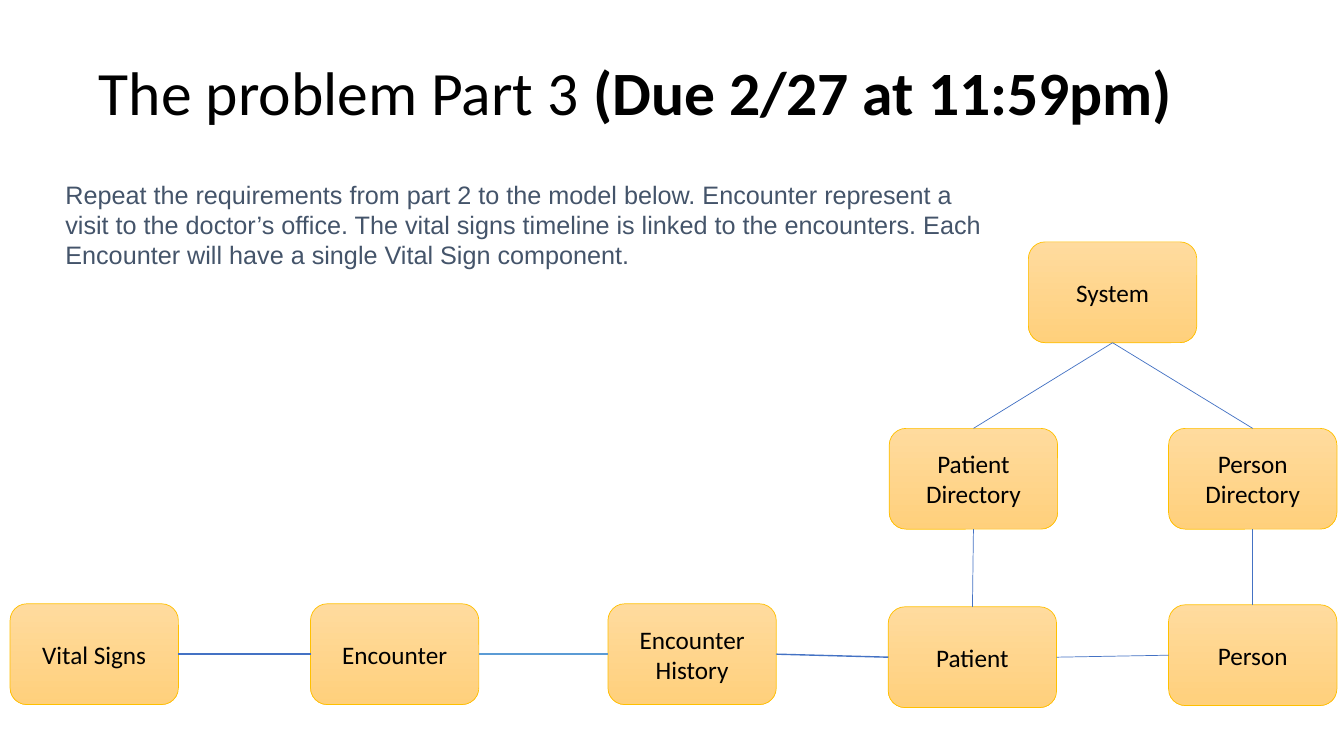
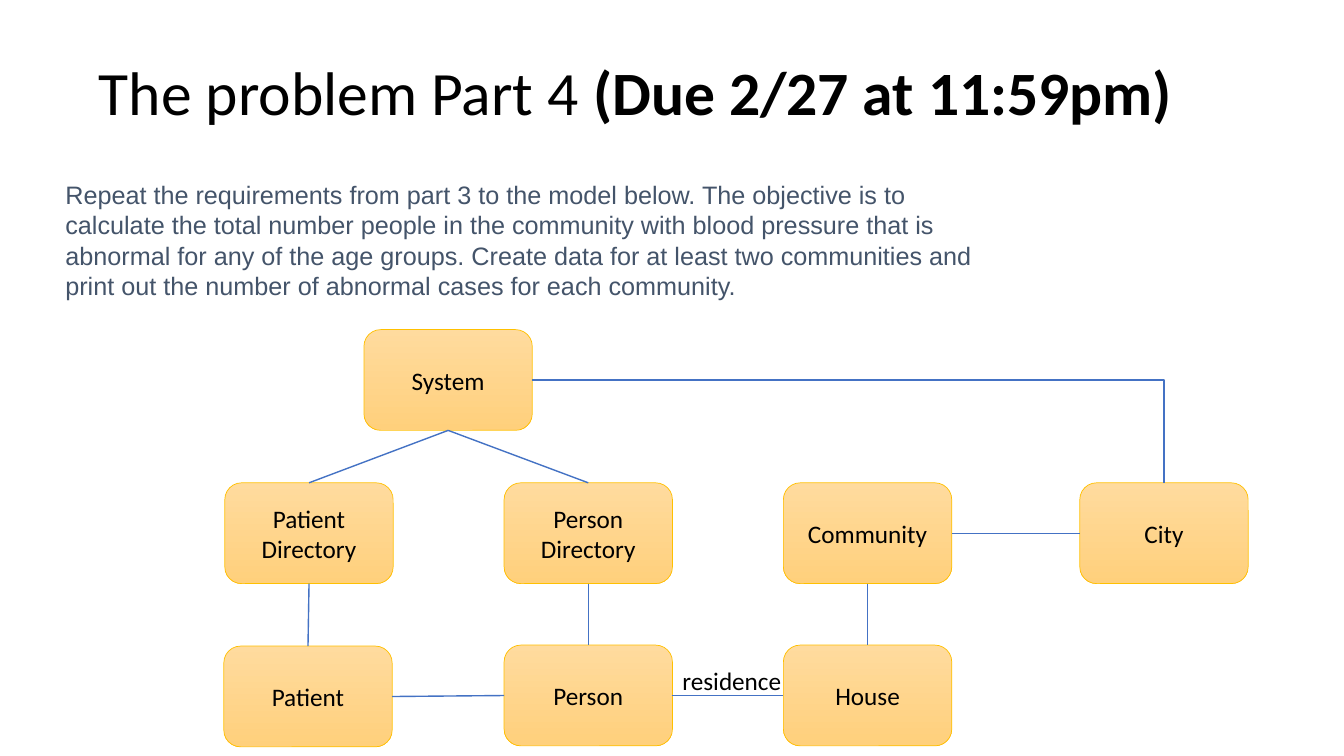
from lxml import etree
from pptx import Presentation
from pptx.dml.color import RGBColor
from pptx.enum.shapes import MSO_CONNECTOR as CONNECTOR, MSO_SHAPE as SHAPE
from pptx.enum.text import MSO_ANCHOR as ANCHOR, MSO_AUTO_SIZE as AUTO_SIZE, PP_ALIGN as ALIGN
from pptx.oxml.ns import qn
from pptx.util import Inches, Pt

# Content: boxes are (label, left, top); links are (from, side, to, side, colour, width)
DUE = "(Due 2/27 at 11:59pm)"
SLIDES = [
    {
        "title": "The problem Part 3 ",
        "body": "Repeat the requirements from part 2 to the model below. Encounter represent "
                "a visit to the doctor’s office. The vital signs timeline is linked to the "
                "encounters. Each Encounter will have a single Vital Sign component.",
        "body_height": 1.74,
        "boxes": [
            ("Vital Signs", 0.1, 5.99), ("Encounter", 3.08, 5.99),
            ("Encounter History", 6.03, 5.99), ("Patient", 8.81, 6.02),
            ("Person", 11.59, 6), ("Patient Directory", 8.82, 4.25),
            ("Person Directory", 11.59, 4.25), ("System", 10.2, 2.4),
        ],
        "links": [
            ("Vital Signs", "right", "Encounter", "left", "link", 1),
            ("Encounter History", "left", "Encounter", "right", "light link", 1),
            ("Encounter History", "right", "Patient", "left", "link", 1),
            ("Patient Directory", "bottom", "Patient", "top", "link", 0.5),
            ("Person Directory", "bottom", "Person", "top", "link", 0.5),
            ("Patient", "right", "Person", "left", "link", 0.5),
            ("System", "bottom", "Patient Directory", "top", "link", 0.5),
            ("System", "bottom", "Person Directory", "top", "link", 0.5),
        ],
        "labels": [],
    },
    {
        "title": "The problem Part 4 ",
        "body": "Repeat the requirements from part 3 to the model below. The objective is to "
                "calculate the total number people in the community with blood pressure that "
                "is abnormal for any of the age groups. Create data for at least two "
                "communities and print out the number of abnormal cases for each community.",
        "body_height": 1.68,
        "boxes": [
            ("Patient", 2.22, 6.41), ("Patient Directory", 2.23, 4.79),
            ("Person", 5, 6.4), ("Person Directory", 5, 4.79),
            ("System", 3.61, 3.27), ("House", 7.77, 6.4),
            ("Community", 7.77, 4.79), ("City", 10.71, 4.79),
        ],
        "links": [
            ("Patient Directory", "bottom", "Patient", "top", "link", 1),
            ("Person Directory", "bottom", "Person", "top", "link", 1),
            ("Patient", "right", "Person", "left", "link", 1),
            ("System", "bottom", "Patient Directory", "top", "link", 1),
            ("System", "bottom", "Person Directory", "top", "link", 1),
            ("Community", "bottom", "House", "top", "link", 1),
            ("Person", "right", "House", "left", "link", 0.5),
            ("City", "left", "Community", "right", "link", 1),
            ("System", "right", "City", "top", "link", 1),
        ],
        "labels": [("residence", 6.67, 6.55, 1.19, 0.4)],
    },
]

# Shared style
COLORS = {
    "text": "000000", "body": "44546A", "box top": "FFDB9E", "box bottom": "FFD07C",
    "box line": "FFC000", "link": "4472C4", "light link": "5B9BD5",
}
BOX_WIDTH, BOX_HEIGHT = 1.67, 1
SITES = {"top": 0, "left": 1, "bottom": 2, "right": 3}
TITLE_FONT = {"name": "Calibri", "size": Pt(44), "color": "text"}
BODY_FONT = {"name": "Arial", "size": Pt(18), "color": "body"}
LABEL_FONT = {"name": "Calibri", "size": Pt(18), "color": "text"}
TITLE_FRAME = {"word_wrap": True, "auto_size": AUTO_SIZE.NONE, "vertical_anchor": ANCHOR.MIDDLE}
BODY_FRAME = {"word_wrap": True, "auto_size": AUTO_SIZE.SHAPE_TO_FIT_TEXT}
BOX_FRAME = {"word_wrap": True, "vertical_anchor": ANCHOR.MIDDLE}
LABEL_FRAME = {"word_wrap": False, "auto_size": AUTO_SIZE.SHAPE_TO_FIT_TEXT}
TITLE_PARAGRAPH = {"alignment": ALIGN.LEFT, "line_spacing": 0.9}
BODY_PARAGRAPH = {"alignment": ALIGN.LEFT, "space_before": Pt(3.6)}
BOX_PARAGRAPH = {"alignment": ALIGN.CENTER, "space_before": Pt(3.6)}
LABEL_PARAGRAPH = {"alignment": ALIGN.LEFT}


def color(name):
    return RGBColor.from_string(COLORS[name])


def apply(target, values):
    for name, value in values.items():
        setattr(target, name, value)


def write(shape, runs, font, paragraph_format, frame_format):
    """Fill a shape with one paragraph of (text, bold) runs."""
    apply(shape.text_frame, frame_format)
    paragraph = shape.text_frame.paragraphs[0]
    apply(paragraph, paragraph_format)
    for text, bold in runs:
        run = paragraph.add_run()
        run.text = text
        apply(run.font, {"name": font["name"], "size": font["size"], "bold": bold})
        run.font.color.rgb = color(font["color"])


def add_title(slide, text):
    title = slide.shapes.title
    apply(title, {"left": Inches(0.88), "top": Inches(0.22),
                  "width": Inches(11.5), "height": Inches(1.45)})
    write(title, [(text, False), (DUE, True)], TITLE_FONT, TITLE_PARAGRAPH, TITLE_FRAME)


def add_text(slide, text, place, *formats):
    text_box = slide.shapes.add_textbox(*map(Inches, place))
    write(text_box, [(text, False)], *formats)


def add_box(slide, label, left, top):
    box = slide.shapes.add_shape(
        SHAPE.ROUNDED_RECTANGLE, *map(Inches, (left, top, BOX_WIDTH, BOX_HEIGHT)))
    box.shadow.inherit = False
    box.fill.gradient()
    box.fill.gradient_angle = 270
    for stop, name in zip(box.fill.gradient_stops, ("box top", "box bottom")):
        stop.color.rgb = color(name)
    box.line.color.rgb = color("box line")
    box.line.width = Pt(0.5)
    write(box, [(label, False)], LABEL_FONT, BOX_PARAGRAPH, BOX_FRAME)
    return box


def add_link(slide, start, start_side, end, end_side, color_name, width):
    bent = start_side == "right" and end_side == "top"
    kind = CONNECTOR.ELBOW if bent else CONNECTOR.STRAIGHT
    link = slide.shapes.add_connector(kind, 0, 0, 0, 0)
    link.begin_connect(start, SITES[start_side])
    link.end_connect(end, SITES[end_side])
    link.line.color.rgb = color(color_name)
    link.line.width = Pt(width)
    properties = link._element.spPr
    etree.SubElement(properties, qn("a:effectLst"))
    if bent:  # a single corner
        properties.find(qn("a:prstGeom")).set("prst", "bentConnector2")


# Build the slides
presentation = Presentation()
presentation.slide_width, presentation.slide_height = Inches(13.33), Inches(7.5)
for content in SLIDES:
    slide = presentation.slides.add_slide(presentation.slide_layouts[5])
    add_title(slide, content["title"])
    add_text(slide, content["body"], (0.55, 1.73, 9.33, content["body_height"]),
             BODY_FONT, BODY_PARAGRAPH, BODY_FRAME)
    boxes = {label: add_box(slide, label, left, top) for label, left, top in content["boxes"]}
    for start, start_side, end, end_side, color_name, width in content["links"]:
        add_link(slide, boxes[start], start_side, boxes[end], end_side, color_name, width)
    for text, *place in content["labels"]:
        add_text(slide, text, place, LABEL_FONT, LABEL_PARAGRAPH, LABEL_FRAME)
presentation.save("out.pptx")
